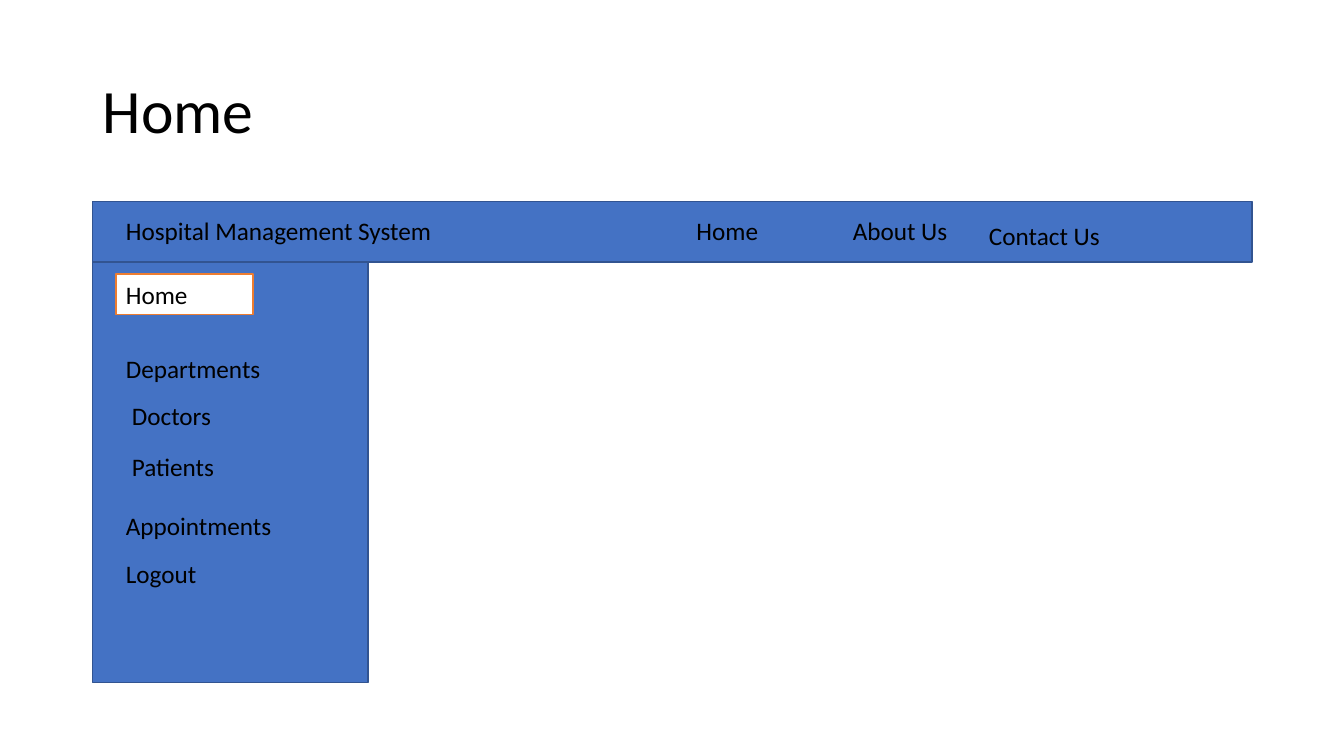
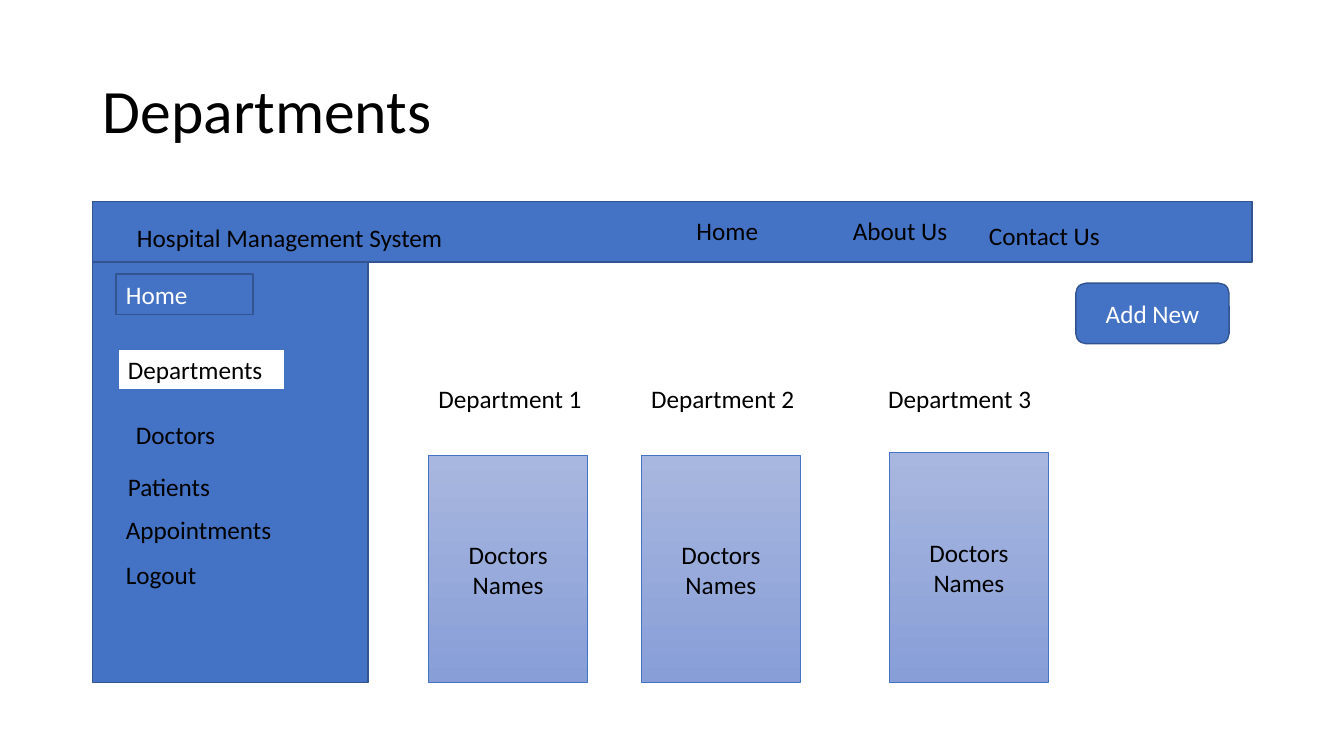
from pptx import Presentation
from pptx.dml.color import RGBColor as RGB
from pptx.enum.shapes import MSO_SHAPE as Kind
from pptx.enum.text import MSO_ANCHOR as Anchor, PP_ALIGN as Align
from pptx.util import Inches, Pt

hues = {
    "blue": "4472C4", "edge": "325491", "orange": "ED7D31",
    "white": "FFFFFF", "black": "000000", "light": "A8B7DF", "deep": "889ED7",
}
color = {name: RGB.from_string(code) for name, code in hues.items()}

deck = Presentation()
deck.slide_width, deck.slide_height = Inches(13.33), Inches(7.5)


def box(slide, at, fill="blue", line="edge", kind=Kind.RECTANGLE, weight=1):
    shape = slide.shapes.add_shape(kind, *map(Inches, at))
    shape.shadow.inherit = False
    shape.fill.solid()
    shape.fill.fore_color.rgb = color[fill]
    shape.line.color.rgb = color[line]
    shape.line.width = Pt(weight)
    return shape


def write(shape, text, ink="black", size=18, align=Align.LEFT, anchor=Anchor.TOP):
    frame = shape.text_frame
    frame.word_wrap = True
    frame.vertical_anchor = anchor
    frame.text = text
    para = frame.paragraphs[0]
    para.alignment = align
    para.font.name = "Calibri"
    para.font.size = Pt(size)
    para.font.color.rgb = color[ink]
    return para


links = [("Home", 6.81, 2.09, 1.36), ("About Us", 8.36, 2.09, 1.36),
         ("Contact Us", 9.71, 2.14, 1.79)]

pages = [
    {"title": "Home", "brand": (1.15, 2.09),
     "buttons": [("Home", 1.15, 2.72, 1.36, "white", "orange", "black")],
     "menu": [("Departments", 1.15, 3.46, 1.63), ("Doctors", 1.21, 3.92, 1.36),
              ("Patients", 1.21, 4.43, 1.36), ("Appointments", 1.15, 5.01, 1.83),
              ("Logout", 1.15, 5.49, 1.36)]},
    {"title": "Departments", "brand": (1.26, 2.16),
     "buttons": [("Home", 1.15, 2.72, 1.36, "blue", "edge", "white"),
                 ("Departments", 1.17, 3.47, 1.65, "white", "blue", "black")],
     "menu": [("Doctors", 1.25, 4.11, 1.36), ("Patients", 1.17, 4.63, 1.36),
              ("Appointments", 1.15, 5.05, 1.83), ("Logout", 1.15, 5.5, 1.36)]},
]

for page in pages:
    slide = deck.slides.add_slide(deck.slide_layouts[6])
    title = slide.shapes.add_textbox(*map(Inches, (0.92, 0.4, 11.5, 1.45)))
    write(title, page["title"], size=44, anchor=Anchor.MIDDLE).line_spacing = 0.9
    box(slide, (0.92, 2, 11.5, 0.6))
    box(slide, (0.92, 2.6, 2.73, 4.17))
    brand = ("Hospital Management System", *page["brand"], 3.35)
    for text, left, top, width in [brand, *links, *page["menu"]]:
        label = slide.shapes.add_textbox(*map(Inches, (left, top, width, 0.4)))
        write(label, text)
    for text, left, top, width, fill, line, ink in page["buttons"]:
        write(box(slide, (left, top, width, 0.4), fill, line), text, ink)

add = box(slide, (10.67, 2.81, 1.52, 0.6), kind=Kind.ROUNDED_RECTANGLE)
write(add, "Add New", "white", align=Align.CENTER, anchor=Anchor.MIDDLE)

cards = [(4.25, 4.25, 4.52), (6.36, 6.36, 4.52), (8.71, 8.82, 4.49)]
for number, (start, left, top) in enumerate(cards, 1):
    label = slide.shapes.add_textbox(*map(Inches, (start, 3.75, 2, 0.4)))
    write(label, f"Department {number}")
    card = box(slide, (left, top, 1.58, 6.77 - top), line="blue", weight=0.5)
    card.fill.gradient()
    card.fill.gradient_angle = 270
    for stop, tone in zip(card.fill.gradient_stops, ("light", "deep")):
        stop.color.rgb = color[tone]
    write(card, "Doctors Names", align=Align.CENTER, anchor=Anchor.MIDDLE)

deck.save("out.pptx")
